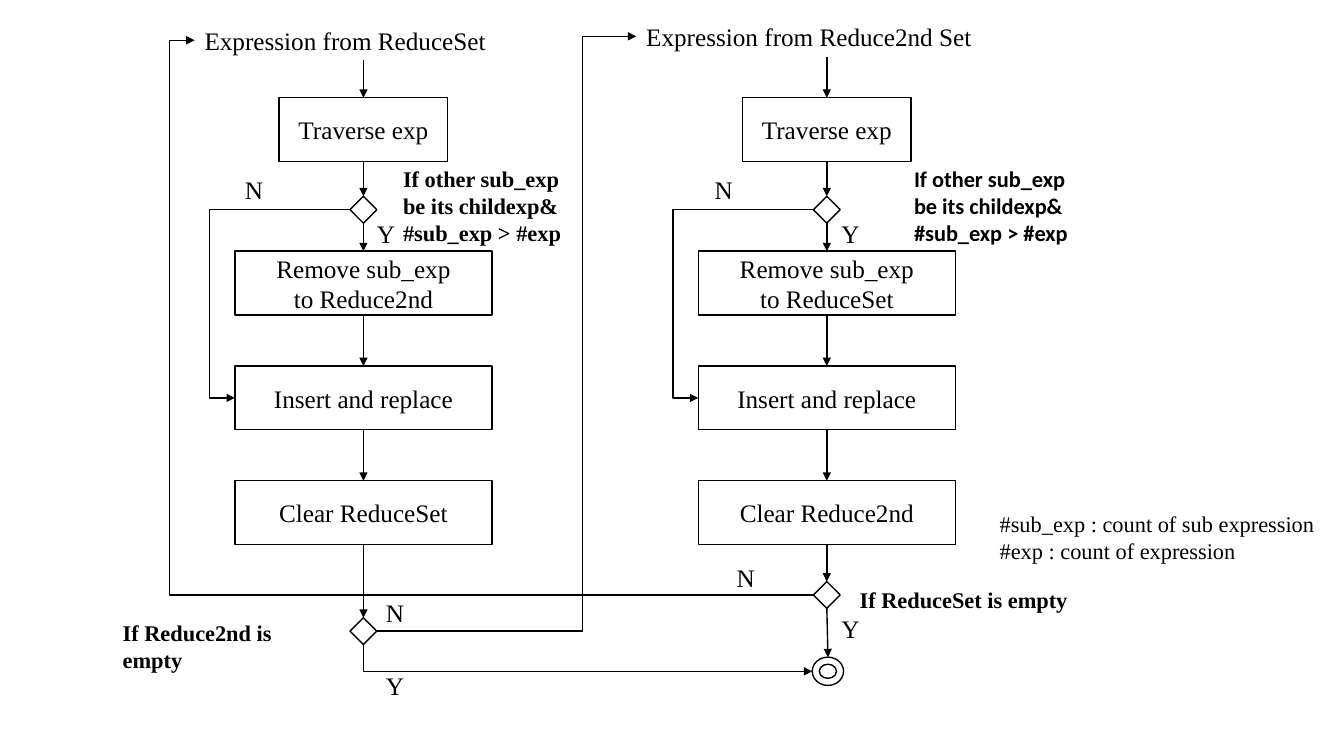
from dataclasses import dataclass
from itertools import pairwise

from lxml import etree
from pptx import Presentation, util as u
from pptx.dml.color import RGBColor
from pptx.enum import shapes as sh, text as tx
from pptx.oxml.ns import qn
from pptx.shapes.autoshape import Shape
from pptx.shapes.connector import Connector


@dataclass(frozen=True)
class Theme:
    ink: RGBColor = RGBColor(0, 0, 0)
    font: str = "Times New Roman"
    alt: str = "Calibri"
    body: float = 18
    note: float = 16
    line: float = 1


@dataclass(frozen=True)
class Label:
    text: str
    x: float
    y: float
    w: float
    h: float = 28.8
    size: float = Theme.body
    bold: bool = False
    font: str = Theme.font


@dataclass(frozen=True)
class Column:
    axis: float
    head: str
    top: float
    width: float
    remove: str
    clear: str
    end: float


@dataclass(frozen=True)
class Flow:
    head: Shape
    end: Shape


TOP, LEFT, BOTTOM, RIGHT = range(4)
BOX_H, WIDE, SLIM = 45.6, 183.6, 120.4
FIRST, ROW, STEP = 69.8, 179.4, 82
GEM, TEST = 19.2, 140.2
LOOP = 18
TALL = 65.6

COLUMNS = (
    Column(259.6, "Expression from ReduceSet", 14.4, 241.2,
           "Remove sub_exp\nto Reduce2nd", "Clear ReduceSet", 441.2),
    Column(590.6, "Expression from Reduce2nd Set", 11.6, 272.2,
           "Remove sub_exp\nto ReduceSet", "Clear Reduce2nd", 415.4),
)

RULE = "If other sub_exp be its childexp&\n#sub_exp > #exp"
LABELS = (
    Label("#sub_exp : count of sub expression #exp : count of expression",
          707, 360.8, 252.8, 46, Theme.note),
    Label(RULE, 280.8, 114.4, 140.4, TALL, Theme.note, True),
    Label(RULE, 645.8, 114.4, 140.4, TALL, Theme.note, True, Theme.alt),
    Label("If Reduce2nd is empty", 80.6, 438.6, 166.4, 46, Theme.note, True),
    Label("If ReduceSet is empty", 607, 414.8, 180, 26.6, Theme.note, True),
    Label("N", 167.8, 121, 22.4),
    Label("N", 503.4, 121, 22.4),
    Label("Y", 262.2, 152.6, 22.4),
    Label("Y", 594, 152.6, 22.4),
    Label("N", 268.6, 423.4, 22.4),
    Label("N", 519.2, 398.2, 22.4),
    Label("Y", 594, 434.2, 22.4),
    Label("Y", 268.6, 475.2, 22.4),
)

deck = Presentation()
deck.slide_width, deck.slide_height = u.Pt(960), u.Pt(540)
slide = deck.slides.add_slide(deck.slide_layouts[6])
theme = Theme()


def write(shape: Shape, words: str, size: float, bold: bool = False,
          font: str = theme.font, align: tx.PP_ALIGN = tx.PP_ALIGN.LEFT) -> None:
    frame = shape.text_frame
    frame.word_wrap = True
    frame.text = words
    for para in frame.paragraphs:
        para.alignment = align
        for run in para.runs:
            run.font.size, run.font.bold = u.Pt(size), bold
            run.font.name, run.font.color.rgb = font, theme.ink


def label(item: Label) -> Shape:
    box = slide.shapes.add_textbox(*map(u.Pt, (item.x, item.y, item.w, item.h)))
    write(box, item.text, item.size, item.bold, item.font)
    return box


def node(kind: sh.MSO_SHAPE, mid: float, y: float, w: float, h: float,
         words: str = "") -> Shape:
    """Draw an outlined shape centred on the vertical axis mid."""
    shape = slide.shapes.add_shape(kind, *map(u.Pt, (mid - w / 2, y, w, h)))
    shape.shadow.inherit = False
    shape.fill.background()
    shape.line.color.rgb, shape.line.width = theme.ink, u.Pt(theme.line)
    if words:
        write(shape, words, theme.body, align=tx.PP_ALIGN.CENTER)
        shape.text_frame.vertical_anchor = tx.MSO_ANCHOR.MIDDLE
    return shape


def style(link: Connector) -> None:
    link.line.color.rgb, link.line.width = theme.ink, u.Pt(theme.line)
    props = link.element.spPr
    etree.SubElement(props.find(qn("a:ln")), qn("a:tailEnd"), type="triangle")
    etree.SubElement(props, qn("a:effectLst"))


def drop(start: Shape, stop: Shape) -> None:
    """Draw a straight arrow down from one shape to the next."""
    link = slide.shapes.add_connector(sh.MSO_CONNECTOR.STRAIGHT, 0, 0, 0, 0)
    link.begin_connect(start, BOTTOM)
    link.end_connect(stop, TOP)
    style(link)


def bend(start: Shape, side: int, stop: Shape, gap: float | None = None) -> None:
    """Draw an elbow into the left of stop, turning gap before it or at once."""
    link = slide.shapes.add_connector(
        sh.MSO_CONNECTOR.ELBOW, 0, 0, stop.left, stop.top + stop.height // 2)
    link.begin_connect(start, side)
    if stop.auto_shape_type != sh.MSO_SHAPE.DONUT if stop.shape_type == sh.MSO_SHAPE_TYPE.AUTO_SHAPE else True:
        link.end_connect(stop, LEFT)
    span = link.end_x - link.begin_x
    ratio = 0 if gap is None else 1 - u.Pt(gap) / span
    guides = link.element.spPr.find(qn("a:prstGeom")).find(qn("a:avLst"))
    etree.SubElement(guides, qn("a:gd"), name="adj1",
                     fmla=f"val {round(ratio * 100000)}")
    style(link)


def flow(col: Column) -> Flow:
    rect, gem = sh.MSO_SHAPE.RECTANGLE, sh.MSO_SHAPE.DIAMOND
    head = label(Label(col.head, col.axis - col.width / 2, col.top, col.width))
    first = node(rect, col.axis, FIRST, SLIM, BOX_H, "Traverse exp")
    test = node(gem, col.axis, TEST, GEM, GEM)
    steps = [node(rect, col.axis, ROW + i * STEP, WIDE, BOX_H, words)
             for i, words in enumerate((col.remove, "Insert and replace", col.clear))]
    end = node(gem, col.axis, col.end, GEM, GEM)
    for start, stop in pairwise((head, first, test, *steps, end)):
        drop(start, stop)
    bend(test, LEFT, steps[1], LOOP)
    return Flow(head, end)


def main() -> None:
    one, two = map(flow, COLUMNS)
    done = node(sh.MSO_SHAPE.DONUT, 591.4, 469.4, 22.4, 20.2)
    drop(two.end, done)
    bend(one.end, RIGHT, two.head, 38.4)
    bend(two.end, LEFT, one.head, LOOP)
    bend(one.end, BOTTOM, done)
    for item in LABELS:
        label(item)
    deck.save("out.pptx")


if __name__ == "__main__":
    main()
